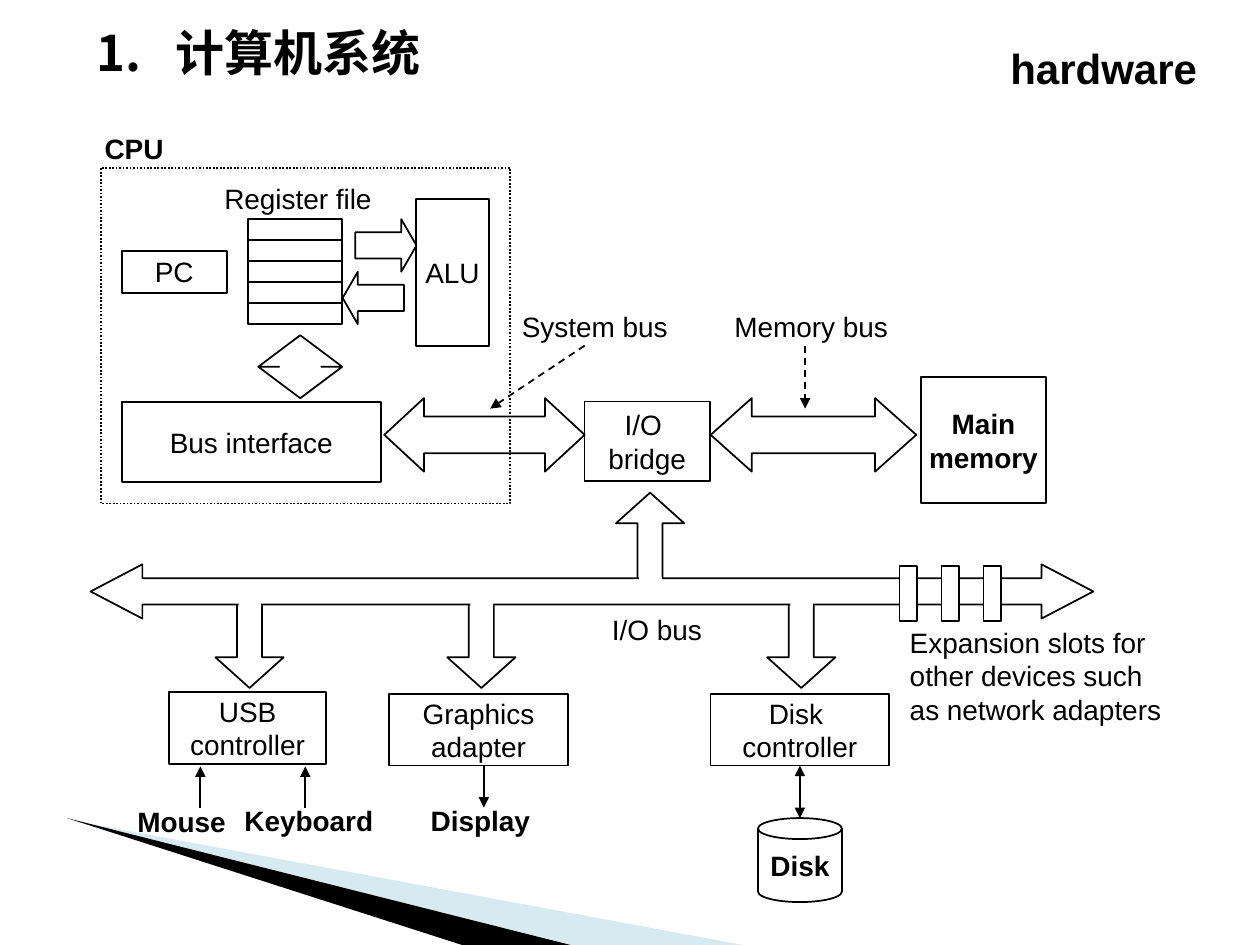
from dataclasses import dataclass
from lxml import etree
from pptx import Presentation
from pptx import util as u
from pptx.dml.color import RGBColor
from pptx.enum import dml, shapes, text
from pptx.oxml import ns

Pt = u.Pt
Kind = shapes.MSO_SHAPE
Align = text.PP_ALIGN


@dataclass(frozen=True)
class Theme:
    ink: RGBColor = RGBColor(0, 0, 0)
    paper: RGBColor = RGBColor(255, 255, 255)
    accent: RGBColor = RGBColor(0x9F, 0xCB, 0xDC)
    font: str = "Arial"
    title_font: str = "Noto Sans CJK SC"
    label: int = 16
    heading: int = 24
    title: int = 28
    line: int = 1


THEME = Theme()
STEM = (0.367, 0.449)  # arrow proportions shared by every bus branch


def add_xml(parent, tag, **attributes):
    return etree.SubElement(parent, ns.qn(tag), attributes)


def write(frame, words, size=THEME.label, bold=False, align=Align.CENTER):
    frame.text = words
    frame.vertical_anchor = text.MSO_ANCHOR.MIDDLE
    frame.word_wrap = False
    for para in frame.paragraphs:
        para.alignment = align
        para.font.name = THEME.font
        para.font.size = Pt(size)
        para.font.bold = bold
        para.font.color.rgb = THEME.ink


def block(page, kind, left, top, width, height, words="", bold=False,
          adjust=(), fill=None, outlined=True):
    """Add an outlined shape, clear unless a fill is given."""
    shape = page.shapes.add_shape(kind, Pt(left), Pt(top), Pt(width), Pt(height))
    shape.shadow.inherit = False
    for index, value in enumerate(adjust):
        shape.adjustments[index] = value
    if fill is None:
        shape.fill.background()
    else:
        shape.fill.solid()
        shape.fill.fore_color.rgb = fill
    if outlined:
        shape.line.color.rgb = THEME.ink
        shape.line.width = Pt(THEME.line)
    else:
        shape.line.fill.background()
    if words:
        write(shape.text_frame, words, bold=bold)
    return shape


def label(page, left, top, width, words, height=26.6, **style):
    box = page.shapes.add_textbox(Pt(left), Pt(top), Pt(width), Pt(height))
    write(box.text_frame, words, **style)
    box.text_frame.auto_size = text.MSO_AUTO_SIZE.SHAPE_TO_FIT_TEXT


def arrow(page, x1, y1, x2, y2, ends=("tailEnd",), dashed=False):
    link = page.shapes.add_connector(
        shapes.MSO_CONNECTOR.STRAIGHT, Pt(x1), Pt(y1), Pt(x2), Pt(y2))
    link.line.color.rgb = THEME.ink
    link.line.width = Pt(THEME.line)
    if dashed:
        link.line.dash_style = dml.MSO_LINE.DASH
    outline = link.line._get_or_add_ln()
    for end in ends:
        add_xml(outline, "a:" + end, type="triangle")
    add_xml(link._element.spPr, "a:effectLst")
    return link


def wedge(page, points, color, opacity=100):
    (x, y), *rest = points
    builder = page.shapes.build_freeform(Pt(x), Pt(y))
    builder.add_line_segments([(Pt(a), Pt(b)) for a, b in rest])
    shape = builder.convert_to_shape()
    shape.shadow.inherit = False
    shape.line.fill.background()
    shape.fill.solid()
    shape.fill.fore_color.rgb = color
    if opacity < 100:
        tint = shape._element.spPr.find(".//" + ns.qn("a:srgbClr"))
        add_xml(tint, "a:alpha", val=str(opacity * 1000))


def draw_corner(page, left, top, bottom):
    wedge(page, [(left + 1, top + 1), (424.5, bottom), (326, bottom)],
          THEME.accent, opacity=40)
    wedge(page, [(left, top), (326, bottom), (264, bottom)], THEME.ink)


def draw_title(page, left, top, width, height):
    title = page.shapes.title
    title.left, title.top, title.width, title.height = map(
        Pt, (left, top, width, height))
    frame = title.text_frame
    frame.text = "1.\t计算机系统"
    frame.word_wrap = True
    frame.auto_size = text.MSO_AUTO_SIZE.NONE
    frame.vertical_anchor = text.MSO_ANCHOR.MIDDLE
    para = frame.paragraphs[0]
    para.alignment = Align.LEFT
    stops = add_xml(para._p.get_or_add_pPr(), "a:tabLst")
    add_xml(stops, "a:tab", pos=str(Pt(45)), algn="l")
    para.font.size = Pt(THEME.title)
    para.font.bold = True
    para.font.color.rgb = THEME.ink
    para.font.name = THEME.title_font
    add_xml(para.font._element, "a:ea", typeface=THEME.title_font)


def draw_cpu(page, left, top, width, height):
    frame = block(page, Kind.RECTANGLE, left, top, width, height)
    frame.line.dash_style = dml.MSO_LINE.ROUND_DOT
    label(page, left - 5, top - 24.2, 48, "CPU", bold=True)
    block(page, Kind.RECTANGLE, left + 12, top + 47.5, 60, 24, "PC")
    # Register file and its exchange with the ALU
    label(page, left + 63.4, top + 4.3, 98.6, "Register file")
    for row in range(5):
        block(page, Kind.RECTANGLE, left + 84, top + 29.5 + 12 * row, 54, 12)
    block(page, Kind.RIGHT_ARROW, left + 145.4, top + 29.5, 35, 30,
          adjust=(0.5, 0.29))
    block(page, Kind.LEFT_ARROW, left + 138.2, top + 59.5, 35, 30,
          adjust=(0.5, 0.29))
    block(page, Kind.RECTANGLE, left + 180, top + 18, 42, 84, "ALU")
    # This preset lists its head length before its shaft width
    block(page, Kind.UP_DOWN_ARROW, left + 90, top + 95.8, 48, 36,
          adjust=(0.2, 0.5))
    block(page, Kind.RECTANGLE, left + 12, top + 134, 148, 45.5, "Bus interface")


def draw_memory_path(page, left, top):
    block(page, Kind.LEFT_RIGHT_ARROW, left, top + 54, 114.5, 42,
          adjust=(0.5, 0.54))
    block(page, Kind.RECTANGLE, left + 114.5, top + 56, 71.5, 45.5, "I/O \nbridge")
    block(page, Kind.LEFT_RIGHT_ARROW, left + 186.5, top + 54, 117.5, 42,
          adjust=(0.5, 0.56))
    block(page, Kind.RECTANGLE, left + 306.7, top + 42, 71.5, 72,
          "Main\nmemory", bold=True)
    # Names of the two buses
    label(page, left + 71.3, top - 0.5, 98, "System bus")
    arrow(page, left + 114.5, top + 24, left + 60.5, top + 60, dashed=True)
    label(page, left + 193, top - 0.5, 102, "Memory bus")
    arrow(page, left + 240.5, top + 24, left + 240.5, top + 60, dashed=True)


def draw_io_bus(page, left, top, width):
    branches = [(300.2, 0, Kind.UP_ARROW, 48.2)] + [
        (x, 57.6, Kind.DOWN_ARROW, 53.3) for x in (71.3, 203.8, 386.6)]
    for x, y, kind, _ in branches:
        block(page, kind, left + x, top + y, 39, 54, adjust=STEM)
    block(page, Kind.LEFT_RIGHT_ARROW, left, top + 41, width, 31,
          adjust=(0.486, 0.955), fill=THEME.paper)
    # White patches open the bus where a branch meets it
    for x, _, _, y in branches:
        block(page, Kind.RECTANGLE, left + x + 13.2, top + y, 13, 12,
              fill=THEME.paper, outlined=False)
    label(page, left + 283.6, top + 64.8, 80, "I/O bus")
    # Expansion slots
    for slot in range(3):
        block(page, Kind.RECTANGLE, left + 462.2 + 24 * slot, top + 41.8,
              10, 31.7, fill=THEME.paper)
    label(page, left + 461, top + 72, 158,
          "Expansion slots for\nother devices such\nas network adapters",
          height=65, align=Align.LEFT)


def draw_devices(page, left, top):
    block(page, Kind.RECTANGLE, left, top, 90, 41, "USB\ncontroller")
    block(page, Kind.RECTANGLE, left + 126, top + 1, 102, 41, "Graphics\nadapter")
    disk_control = block(page, Kind.RECTANGLE, left + 309.6, top + 1, 102, 41,
                         "Disk \ncontroller")
    # Peripherals
    for x in (18, 78):
        arrow(page, left + x, top + 66, left + x, top + 42.5)
    arrow(page, left + 180, top + 42.5, left + 180, top + 66)
    for x, y, width, name in ((-25.2, 60.7, 65, "Mouse"),
                              (36, 60, 88, "Keyboard"),
                              (142.5, 60, 71, "Display")):
        label(page, left + x, top + y, width, name, bold=True)
    block(page, Kind.CAN, left + 336.6, top + 72, 48, 48, "Disk", bold=True,
          adjust=(0.25,))
    link = arrow(page, left + 360.6, top + 42, left + 360.6, top + 72,
                 ends=("headEnd", "tailEnd"))
    link.begin_connect(disk_control, 2)


def main():
    deck = Presentation()
    deck.slide_width, deck.slide_height = Pt(720), Pt(540)
    page = deck.slides.add_slide(deck.slide_layouts[5])
    draw_corner(page, 38.2, 467.5, 540)
    draw_title(page, 48.2, 9.4, 234, 41)
    label(page, 570.2, 20.5, 121, "hardware", height=36,
          size=THEME.heading, bold=True)
    draw_cpu(page, 57.6, 95.8, 234, 192)
    draw_memory_path(page, 219.6, 173.5)
    draw_io_bus(page, 51.8, 281.5, 573)
    draw_devices(page, 96.5, 395.5)
    deck.save("out.pptx")


if __name__ == "__main__":
    main()
